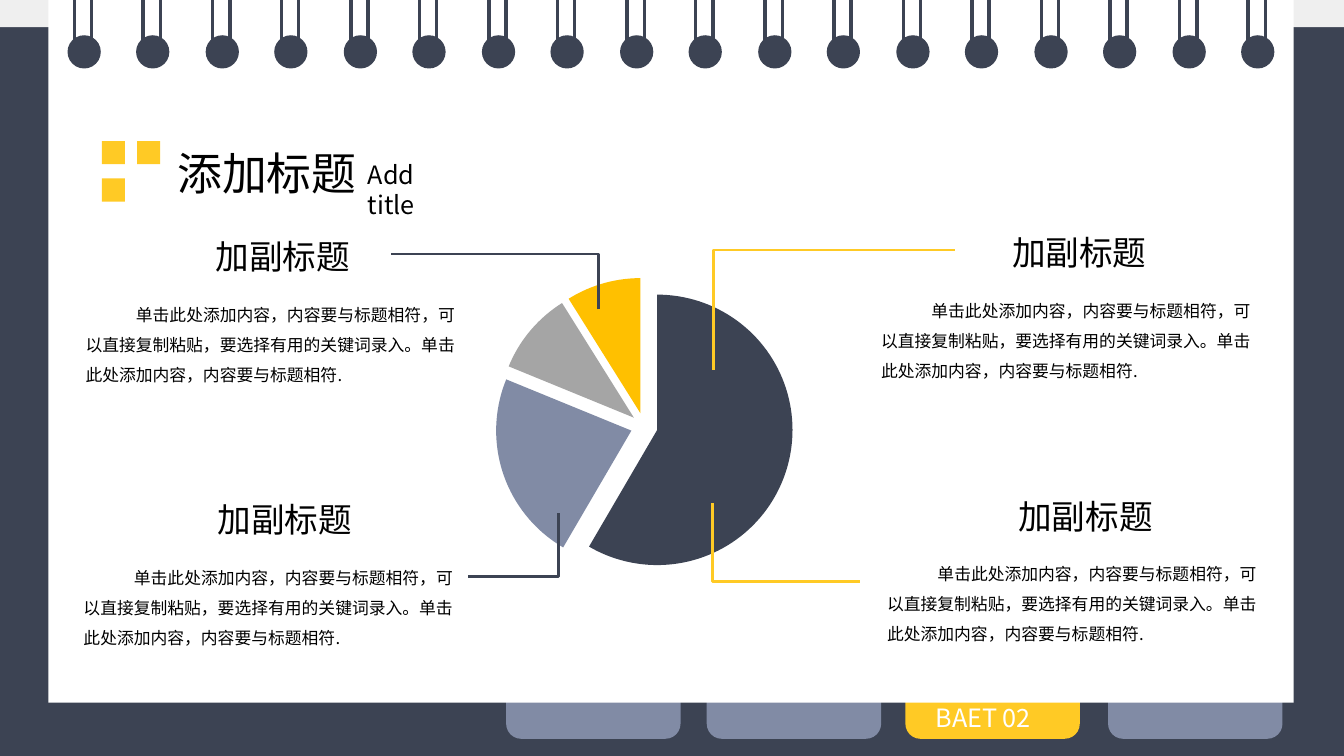
from dataclasses import dataclass

import pptx
import pptx.chart.data
import pptx.dml.color
import pptx.enum.chart
import pptx.enum.shapes
import pptx.enum.text
import pptx.oxml
import pptx.oxml.ns
import pptx.util
from pptx.enum.shapes import MSO_SHAPE

EMU_PER_PX = 9144  # 100 px to the inch


@dataclass(frozen=True)
class Theme:
    navy: str = "3C4353"
    slate: str = "818BA5"
    yellow: str = "FFCA25"
    amber: str = "FFC000"
    grey: str = "A5A5A5"
    pale: str = "EFEFEF"
    white: str = "FFFFFF"
    black: str = "000000"
    text_font: str = "Noto Sans CJK SC"
    chart_font: str = "Calibri"
    title_size: int = 32
    heading_size: int = 24
    label_size: int = 18
    body_size: int = 12
    chart_size: int = 10
    ring_width: float = 2.5
    callout_width: float = 2


@dataclass(frozen=True)
class Callout:
    heading: tuple[int, int]
    body: tuple[int, int]
    start: tuple[int, int]
    end: tuple[int, int]
    color: str


@dataclass(frozen=True)
class Slice:
    category: str
    value: int
    color: str


THEME = Theme()
HEADING = "加副标题"
BODY = ("单击此处添加内容，内容要与标题相符，可以直接复制粘贴，要选择有用的关键词录入。"
        "单击此处添加内容，内容要与标题相符.")
CALLOUTS = [
    Callout((204, 229), (75, 287), (594, 307), (388, 252), THEME.navy),
    Callout((206, 490), (73, 548), (554, 509), (464, 572), THEME.navy),
    Callout((994, 225), (864, 283), (708, 367), (947, 248), THEME.yellow),
    Callout((1000, 487), (870, 544), (707, 499), (853, 577), THEME.yellow),
]
SLICES = [
    Slice("1", 59, THEME.navy),
    Slice("2", 23, THEME.slate),
    Slice("3", 10, THEME.grey),
    Slice("4", 9, THEME.amber),
]
RING_COUNT = 18
RING_LEFT, RING_SPAN = 67, 1164


def px(length: int) -> pptx.util.Emu:
    return pptx.util.Emu(length * EMU_PER_PX)


def rgb(color: str) -> pptx.dml.color.RGBColor:
    return pptx.dml.color.RGBColor.from_string(color)


def xml(tag: str, **attributes: str):
    """Make a DrawingML or chart element such as a:ea or c:explosion."""
    element = pptx.oxml.parse_xml(f"<{tag} {pptx.oxml.ns.nsdecls(tag.split(':')[0])}/>")
    for name, value in attributes.items():
        element.set(name, value)
    return element


def add_block(slide, kind: MSO_SHAPE, left: int, top: int, width: int, height: int,
              color: str) -> None:
    block = slide.shapes.add_shape(kind, px(left), px(top), px(width), px(height))
    block.shadow.inherit = False
    block.fill.solid()
    block.fill.fore_color.rgb = rgb(color)
    block.line.fill.background()


def add_line(slide, start: tuple[int, int], end: tuple[int, int], *, color: str,
             width: float, bent: bool = False) -> None:
    """Draw a straight line, or one that turns right at its start when bent."""
    kinds = pptx.enum.shapes.MSO_CONNECTOR
    line = slide.shapes.add_connector(kinds.ELBOW if bent else kinds.STRAIGHT,
                                      *(px(length) for length in start + end))
    line.line.color.rgb = rgb(color)
    line.line.width = pptx.util.Pt(width)
    properties = line._element.spPr
    properties.append(xml("a:effectLst"))
    if bent:
        guides = properties.find(".//" + pptx.oxml.ns.qn("a:avLst"))
        guides.append(xml("a:gd", name="adj1", fmla="val 0"))


def add_text(slide, text: str, left: int, top: int, width: int, height: int, *, size: int,
             color: str = THEME.black, justify: bool = False, spacing: float | None = None,
             indent: int = 0) -> None:
    box = slide.shapes.add_textbox(px(left), px(top), px(width), px(height))
    box.text_frame.word_wrap = True
    box.text_frame.auto_size = pptx.enum.text.MSO_AUTO_SIZE.SHAPE_TO_FIT_TEXT
    para = box.text_frame.paragraphs[0]
    if justify:
        para.alignment = pptx.enum.text.PP_ALIGN.JUSTIFY
    if spacing:
        para.line_spacing = spacing
    if indent:
        para._p.get_or_add_pPr().set("indent", str(px(indent)))
    span = para.add_run()
    span.text = text
    span.font.size = pptx.util.Pt(size)
    span.font.color.rgb = rgb(color)
    span.font.name = THEME.text_font
    span._r.get_or_add_rPr().append(xml("a:ea", typeface=THEME.text_font))


def add_pie(slide) -> None:
    data = pptx.chart.data.CategoryChartData()
    data.categories = [part.category for part in SLICES]
    data.add_series("Series 1", [part.value for part in SLICES])
    chart = slide.shapes.add_chart(pptx.enum.chart.XL_CHART_TYPE.PIE, px(392), px(259),
                                   px(494), px(328), data).chart
    chart.has_legend = False
    chart.has_title = False
    chart.font.name = THEME.chart_font
    chart.font.size = pptx.util.Pt(THEME.chart_size)
    chart.font.color.rgb = rgb(THEME.black)
    plot = chart.plots[0]
    plot.vary_by_categories = True
    series = plot.series[0]
    for index, part in enumerate(SLICES):
        look = series.points[index].format
        look.fill.solid()
        look.fill.fore_color.rgb = rgb(part.color)
        look.line.fill.background()
    first_point = series._element.find(pptx.oxml.ns.qn("c:dPt"))
    first_point.addprevious(xml("c:explosion", val="10"))

    area = chart._chartSpace.chart.plotArea
    for old_layout in area.findall(pptx.oxml.ns.qn("c:layout")):
        area.remove(old_layout)
    layout, manual = xml("c:layout"), xml("c:manualLayout")
    settings = {"layoutTarget": "inner", "xMode": "edge", "yMode": "edge",
                "x": "0.2", "y": "0.05", "w": "0.6", "h": "0.9"}
    for name, value in settings.items():
        manual.append(xml(f"c:{name}", val=value))
    layout.append(manual)
    area.insert(0, layout)


def add_notebook(slide) -> None:
    add_block(slide, MSO_SHAPE.RECTANGLE, 0, 0, 1333, 750, THEME.navy)
    add_block(slide, MSO_SHAPE.RECTANGLE, 0, 0, 1333, 27, THEME.pale)
    for left, color in [(1099, THEME.slate), (701, THEME.slate), (502, THEME.slate),
                        (898, THEME.yellow)]:
        add_block(slide, MSO_SHAPE.ROUNDED_RECTANGLE, left, 643, 173, 90, color)
    add_text(slide, "BAET 02", 918, 692, 133, 40, size=THEME.label_size,
             color=THEME.white, justify=True)
    add_block(slide, MSO_SHAPE.RECTANGLE, 48, 0, 1235, 697, THEME.white)
    for index in range(RING_COUNT):
        left = RING_LEFT + round(index * RING_SPAN / (RING_COUNT - 1))
        add_block(slide, MSO_SHAPE.OVAL, left, 35, 33, 33, THEME.navy)
        for wire in (left + 7, left + 24):
            add_line(slide, (wire, 0), (wire, 51), color=THEME.navy, width=THEME.ring_width)


def add_title(slide) -> None:
    for left, top in [(101, 140), (136, 140), (101, 177)]:
        add_block(slide, MSO_SHAPE.RECTANGLE, left, top, 23, 23, THEME.yellow)
    add_text(slide, "添加标题", 166, 140, 221, 64, size=THEME.title_size)
    add_text(slide, "Add title", 355, 153, 110, 40, size=THEME.label_size, justify=True)


def add_callout(slide, callout: Callout) -> None:
    add_line(slide, callout.start, callout.end, color=callout.color,
             width=THEME.callout_width, bent=True)
    add_text(slide, HEADING, *callout.heading, 179, 50, size=THEME.heading_size, justify=True)
    add_text(slide, BODY, *callout.body, 390, 98, size=THEME.body_size, spacing=1.5, indent=50)


def main() -> None:
    deck = pptx.Presentation()
    deck.slide_width, deck.slide_height = px(1333), px(750)
    slide = deck.slides.add_slide(deck.slide_layouts[6])
    add_notebook(slide)
    add_title(slide)
    add_pie(slide)
    for callout in CALLOUTS:
        add_callout(slide, callout)
    deck.save("out.pptx")


if __name__ == "__main__":
    main()
